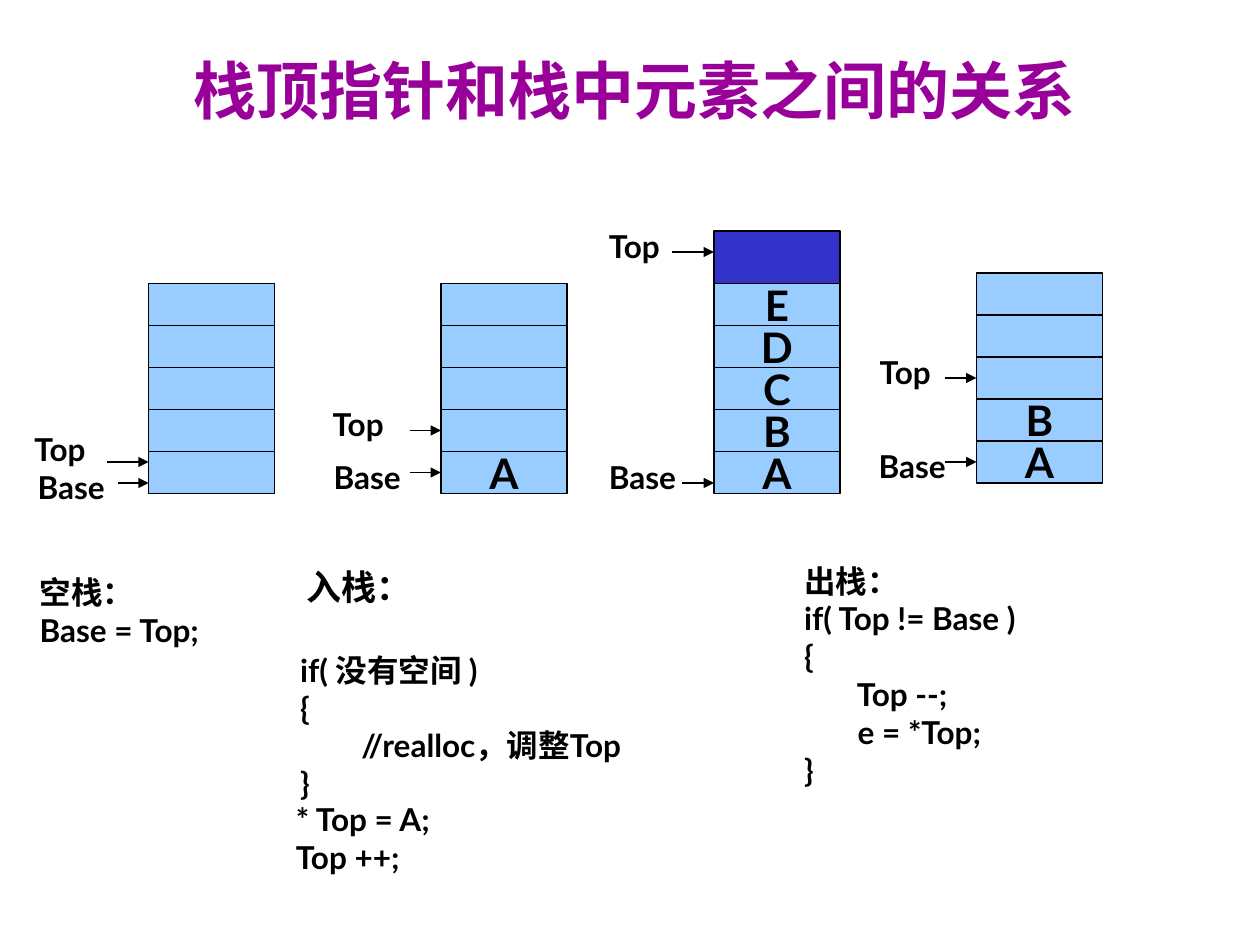
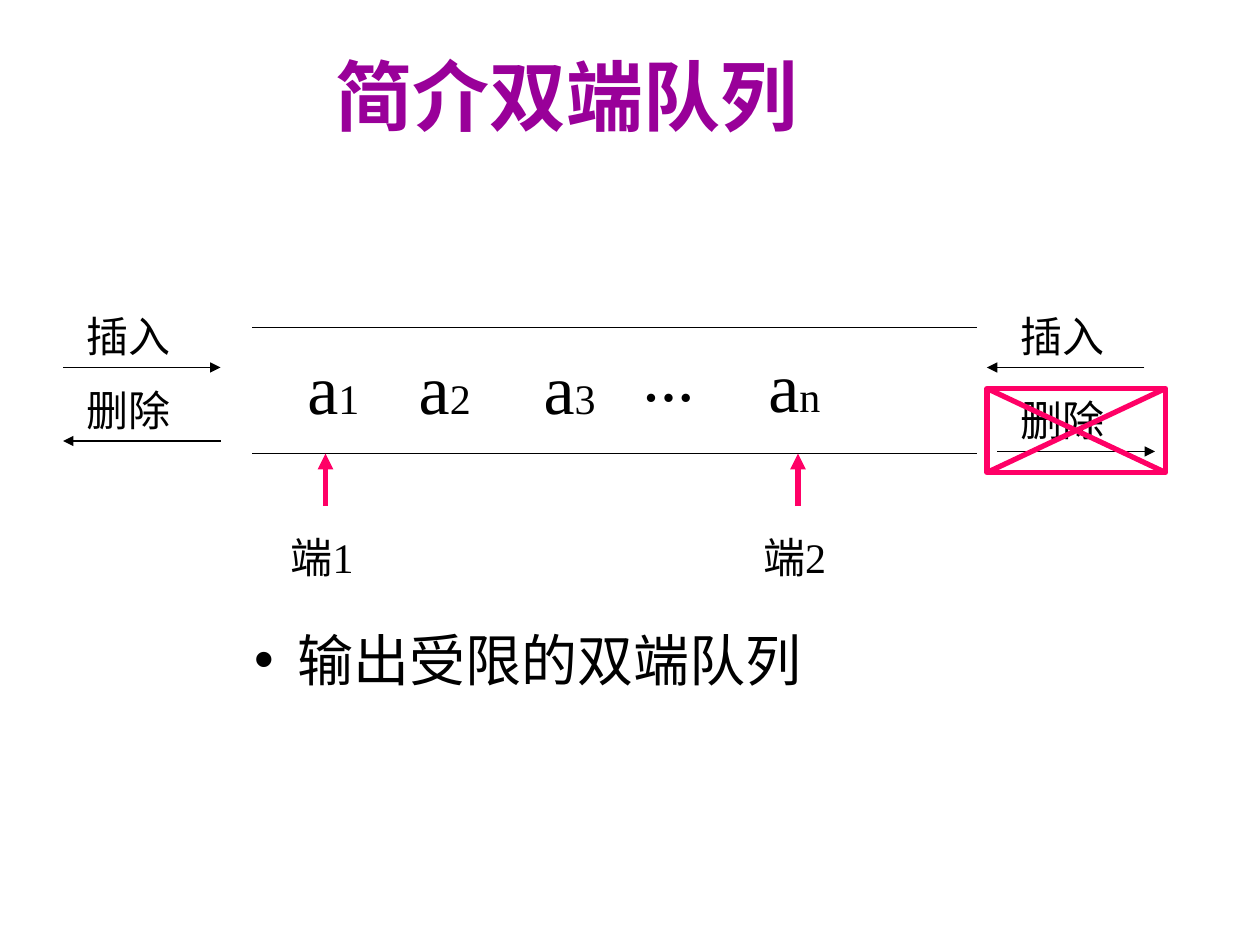
import pptx
import pptx.util
import pptx.dml.color
import pptx.enum.shapes
import pptx.enum.text
import pptx.oxml.ns
import lxml.etree

hue = pptx.dml.color.RGBColor.from_string
qn = pptx.oxml.ns.qn
Pt = pptx.util.Pt
Rect = pptx.enum.shapes.MSO_SHAPE.RECTANGLE
Mid = pptx.enum.text.MSO_ANCHOR.MIDDLE
Left = pptx.enum.text.PP_ALIGN.LEFT
Center = pptx.enum.text.PP_ALIGN.CENTER
Black, Purple, Pink, Sky, Navy = "000000", "990099", "FF0066", "99CCFF", "3333CC"
Sans, Bold, Serif = "Arial", "Lato", "Times New Roman"

deck = pptx.Presentation()
deck.slide_width = pptx.util.Inches(10)
deck.slide_height = pptx.util.Inches(7.5)
unit = deck.slide_width / 120


def write(shape, rows, font, bold=False, tint=Black, align=Left):
    frame = shape.text_frame
    frame.word_wrap = True
    frame.auto_size = pptx.enum.text.MSO_AUTO_SIZE.NONE
    for i, row in enumerate(rows):
        para = frame.add_paragraph() if i else frame.paragraphs[0]
        para.alignment = align
        para.space_before = Pt(0)
        for text, size in row:
            run = para.add_run()
            run.text = text
            run.font.size = Pt(size)
            run.font.name = font
            run.font.bold = bold
            run.font.color.rgb = hue(tint)


def draw(page, x1, y1, x2, y2, tint=Black, width=0.75, arrow=False):
    ends = [round(v * unit) for v in (x1, y1, x2, y2)]
    line = page.shapes.add_connector(pptx.enum.shapes.MSO_CONNECTOR.STRAIGHT, *ends)
    line.line.color.rgb = hue(tint)
    line.line.width = Pt(width)
    if arrow:
        tail = lxml.etree.SubElement(line.line._get_or_add_ln(), qn("a:tailEnd"))
        tail.set("type", "triangle")
    lxml.etree.SubElement(line._element.spPr, qn("a:effectLst"))
    return line


heads = [
    (5, "栈顶指针和栈中元素之间的关系", 36, 11.4, 4.3, 8.4),
    (1, "简介双端队列", 44, 5, 4, 10),
]
pages = []
for kind, text, size, x, y, high in heads:
    page = deck.slides.add_slide(deck.slide_layouts[kind])
    title = page.shapes.title
    title.left, title.top, title.width, title.height = [round(v * unit) for v in (x, y, 98, high)]
    title.text_frame.vertical_anchor = Mid
    write(title, [[(text, size)]], Sans, True, Purple, Center)
    pages.append(page)
stack, deque = pages

tall, wide = 4, 12
piles = [
    (14.16, 27, "", ("Top", 2.1, 40.4, 10.2, 44), ("Base", 2.4, 44, 11.2, 46)),
    (42, 27, "A", ("Top", 30.5, 38, 39, 41), ("Base", 30.6, 43, 39, 45)),
    (68, 27, "ABCDE", ("Top", 56.8, 21, 64, 24), ("Base", 56.8, 43, 65, 46)),
    (93, 26, "AB", ("Top", 82.6, 33, 90, 36), ("Base", 82.5, 42, 90, 44)),
]
notes = []
for x, y, items, *marks in piles:
    cells = [(y + tall * i, tall, Sky, letter) for i, letter in enumerate(reversed(items.ljust(5)))]
    if len(items) == 5:
        cells.append((y - 5, 5, Navy, " "))
    mids = {}
    for top, high, fill, letter in cells:
        spot = [round(v * unit) for v in (x, top, wide, high)]
        cell = stack.shapes.add_shape(Rect, *spot)
        cell.shadow.inherit = False
        cell.fill.solid()
        cell.fill.fore_color.rgb = hue(fill)
        cell.line.color.rgb = hue(Black)
        cell.line.width = Pt(0.75)
        mids[top + high / 2] = cell
        if letter.strip():
            cell.text_frame.vertical_anchor = Mid
            write(cell, [[(letter, 24)]], Bold, True, Black, Center)
    for name, left, top, start, level in marks:
        arrow = draw(stack, start, level, x, level, arrow=True)
        if level in mids:
            arrow.end_connect(mids[level], 1)
        notes.append((left, top, 10, 4.8, 18, Bold, [name]))

notes += [
    (2.6, 54, 20, 8.4, 18, Bold, ["空栈：", "Base = Top;"]),
    (75.4, 52.9, 36.4, 26.4, 18, Bold,
     ["出栈：", "if( Top != Base )", "{", "       Top --;", "       e = *Top;", "}"]),
    (27.4, 61.4, 40, 19.2, 18, Bold,
     ["if( 没有空间 )", "{", "        //realloc，调整Top", "}"]),
    (27, 75.6, 31.2, 8.4, 18, Bold, ["* Top = A;", "Top ++;"]),
    (28, 53.3, 15, 5.3, 20, Serif, ["入栈："]),
]
for x, y, w, h, size, font, rows in notes:
    box = stack.shapes.add_textbox(*[round(v * unit) for v in (x, y, w, h)])
    write(box, [[(row, size)] for row in rows], font, True)

for y in (31.2, 43.2):
    draw(deque, 24, y, 93, y)
for x1, x2, y in [(6, 21, 35), (21, 6, 42), (109, 94, 35), (95, 110, 43)]:
    draw(deque, x1, y, x2, y, arrow=True)
for x in (31, 76):
    draw(deque, x, 48.2, x, 43.2, Pink, 3, True)

words = [
    (28.1, 32.2, [("a", 40), ("1", 24)]),
    (38.7, 32.2, [("a", 40), ("2", 24)]),
    (50.6, 32.2, [("a", 40), ("3", 24)]),
    (60, 31, [("...", 40)]),
    (72, 32, [("a", 40), ("n", 24)]),
    (7.1, 29, [("插入", 24)]),
    (7.1, 36, [("删除", 24)]),
    (96, 29, [("插入", 24)]),
    (96, 37, [("删除", 24)]),
    (26.5, 50, [("端1", 24)]),
    (71.5, 50, [("端2", 24)]),
]
for x, y, runs in words:
    box = deque.shapes.add_textbox(*[round(v * unit) for v in (x, y, wide, runs[0][1] * 0.23)])
    write(box, [runs], Serif)

body = deque.placeholders[1]
body.left, body.top, body.width, body.height = [round(v * unit) for v in (23, 59, 66, 7.7)]
props = body.text_frame.paragraphs[0]._p.get_or_add_pPr()
props.set("marL", str(round(4.1 * unit)))
props.set("indent", str(round(-4.1 * unit)))
lxml.etree.SubElement(props, qn("a:buChar")).set("char", "•")
write(body, [[("输出受限的双端队列", 32)]], Serif)

x, y, w, h = 94, 37, 17, 8
frame = deque.shapes.add_shape(Rect, *[round(v * unit) for v in (x, y, w, h)])
frame.shadow.inherit = False
frame.fill.background()
frame.line.color.rgb = hue(Pink)
frame.line.width = Pt(3)
for y1, y2 in [(y, y + h), (y + h, y)]:
    draw(deque, x, y1, x + w, y2, Pink, 3)

deck.save("out.pptx")
